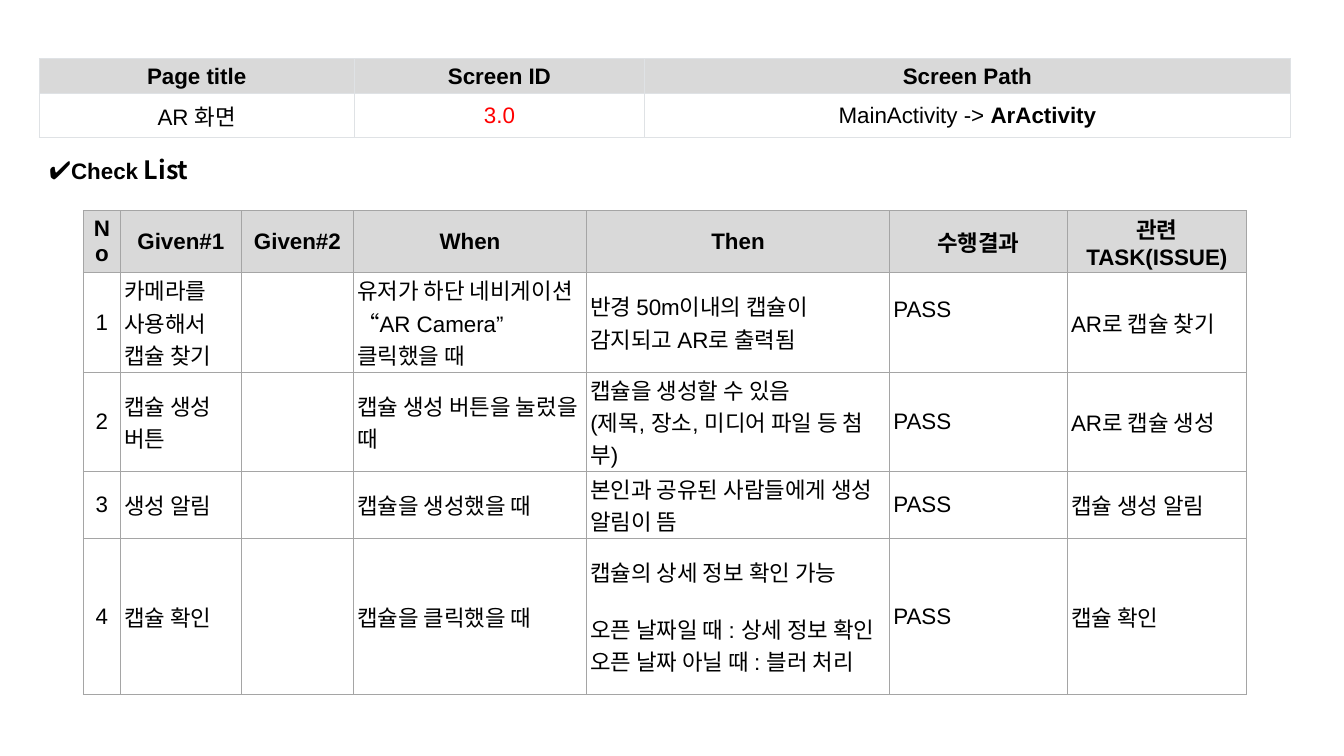
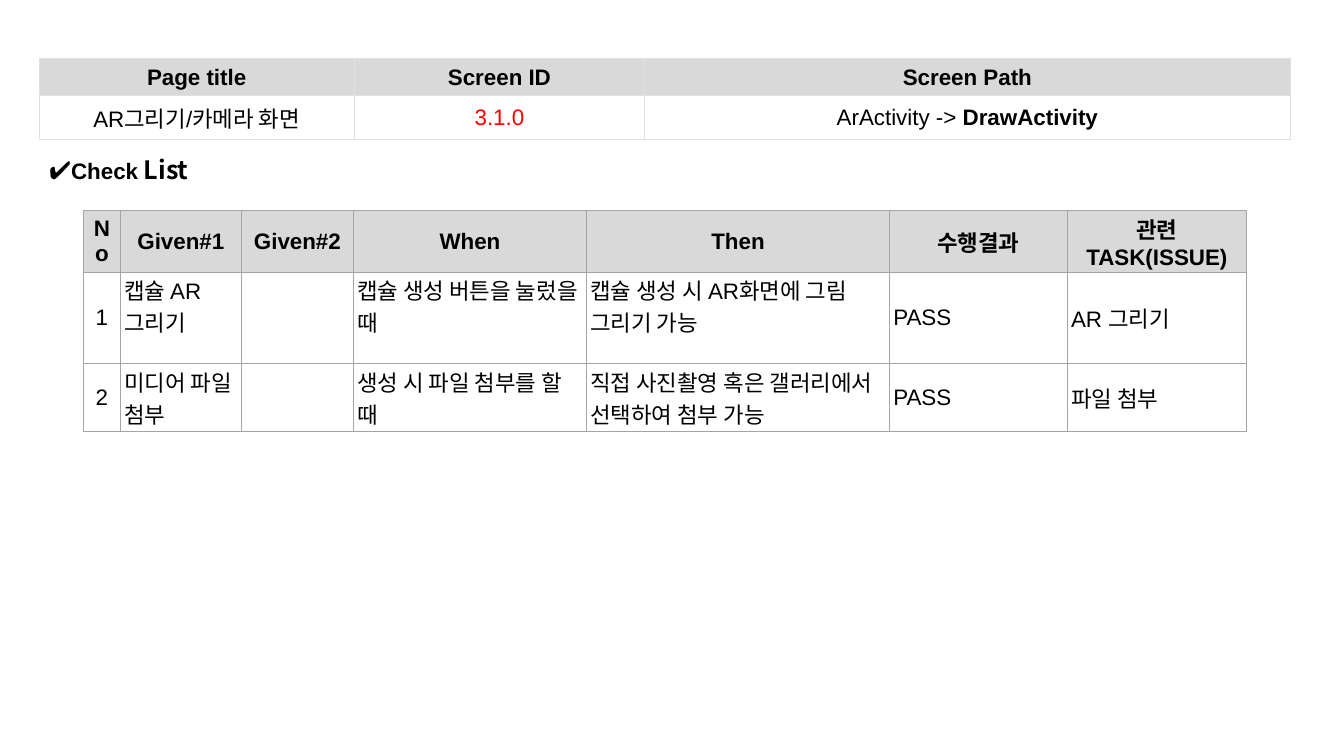
from pptx import Presentation
from pptx.dml.color import RGBColor
from pptx.enum.text import MSO_ANCHOR, PP_ALIGN
from pptx.oxml.ns import qn
from pptx.util import Pt
from lxml import etree

CENTER, LEFT = PP_ALIGN.CENTER, PP_ALIGN.LEFT
MIDDLE, TOP = MSO_ANCHOR.MIDDLE, MSO_ANCHOR.TOP

COLORS = {
    "text": "000000",
    "accent": "FF0000",
    "header": "D9D9D9",
    "body": "FFFFFF",
    "page_border": "DFE2E5",
    "check_border": "A5A5A5",
}
LATIN, HANGUL = "Arial", "Noto Sans CJK KR"
BASE = {"size": Pt(16), "name": LATIN, "bold": False}
HEADING = {"size": Pt(18), "name": HANGUL, "bold": True}

PAGE_HEADS = ["Page title", "Screen ID", "Screen Path"]
PAGE_WIDTHS = [225, 207.5, 461]
PAGE_HEIGHTS = [25, 31]
CHECK_HEADS = ["No", "Given#1", "Given#2", "When", "Then", "수행결과", "관련 TASK(ISSUE)"]
CHECK_WIDTHS = [26.5, 86.5, 80, 166.5, 216.5, 127, 128]
CHECK_HEAD_HEIGHT = 44


class Deck:
    """Shared style and the slide being filled."""

    def __init__(self):
        self.presentation = Presentation()
        self.presentation.slide_width = Pt(960)
        self.presentation.slide_height = Pt(540)
        self.slide = None

    def new_slide(self):
        layout = self.presentation.slide_layouts[6]
        self.slide = self.presentation.slides.add_slide(layout)

    def run(self, paragraph, text, color="text", **formats):
        run = paragraph.add_run()
        run.text = text
        for name, value in {**BASE, **formats}.items():
            setattr(run.font, name, value)
        run.font.color.rgb = RGBColor.from_string(COLORS[color])
        # East Asian typeface follows the latin one
        latin = run.font._element.find(qn("a:latin"))
        east_asian = etree.Element(qn("a:ea"), typeface=HANGUL)
        latin.addnext(east_asian)

    def cell(self, cell, content, border, margins, fill="body", align=LEFT,
             anchor=MIDDLE, bold=False):
        """Content is a text, one paragraph per line, or a list of (text, format) runs."""
        cell.vertical_anchor = anchor
        cell.margin_left = cell.margin_right = Pt(margins[0])
        cell.margin_top = cell.margin_bottom = Pt(margins[1])
        cell.fill.solid()
        cell.fill.fore_color.rgb = RGBColor.from_string(COLORS[fill])
        self.borders(cell, border)
        if isinstance(content, str):
            lines = [[(line, {})] for line in content.split("\n")] if content else []
        else:
            lines = [content]
        for index, runs in enumerate(lines):
            frame = cell.text_frame
            paragraph = frame.add_paragraph() if index else frame.paragraphs[0]
            paragraph.alignment = align
            for text, formats in runs:
                self.run(paragraph, text, **{"bold": bold, **formats})

    def borders(self, cell, color):
        properties = cell._tc.get_or_add_tcPr()
        for index, side in enumerate(("lnL", "lnR", "lnT", "lnB")):
            line = etree.Element(qn(f"a:{side}"), w=str(Pt(0.75)))
            solid = etree.SubElement(line, qn("a:solidFill"))
            etree.SubElement(solid, qn("a:srgbClr"), val=COLORS[color])
            properties.insert(index, line)

    def table(self, left, top, widths, heights):
        table = self.slide.shapes.add_table(
            len(heights), len(widths), Pt(left), Pt(top),
            Pt(sum(widths)), Pt(sum(heights))).table
        table.first_row = table.horz_banding = False
        for column, width in zip(table.columns, widths):
            column.width = Pt(width)
        for row, height in zip(table.rows, heights):
            row.height = Pt(height)
        return table

    def page_table(self, values):
        table = self.table(28, 42, PAGE_WIDTHS, PAGE_HEIGHTS)
        style = {"border": "page_border", "margins": (7.2, 3.6), "align": CENTER}
        for column, (head, value) in enumerate(zip(PAGE_HEADS, values)):
            self.cell(table.cell(0, column), head, fill="header", bold=True, **style)
            self.cell(table.cell(1, column), value, **style)

    def check_table(self, rows, heights, top_cells=()):
        table = self.table(59.5, 150.5, CHECK_WIDTHS, [CHECK_HEAD_HEIGHT, *heights])
        border = "check_border"
        for column, head in enumerate(CHECK_HEADS):
            self.cell(table.cell(0, column), head, border, (2.7, 1.5),
                      fill="header", align=CENTER, bold=True)
        for number, (given, when, then, task) in enumerate(rows, 1):
            values = [str(number), given, "", when, then, "PASS", task]
            for column, value in enumerate(values):
                self.cell(table.cell(number, column), value, border, (2.7, 0.7),
                          align=LEFT if column else CENTER,
                          anchor=TOP if (number, column) in top_cells else MIDDLE)
        return table

    def heading(self):
        box = self.slide.shapes.add_textbox(Pt(28), Pt(106.5), Pt(133), Pt(29))
        box.text_frame.word_wrap = True
        paragraph = box.text_frame.paragraphs[0]
        self.run(paragraph, "✔", **HEADING)
        self.run(paragraph, "Check", bold=True)
        self.run(paragraph, " List", **HEADING)


def screen_values(title, screen_id, parent, activity):
    return [title, [(screen_id, {"color": "accent"})],
            [(f"{parent} -> ", {}), (activity, {"bold": True})]]


def main():
    deck = Deck()

    # AR screen
    deck.new_slide()
    table = deck.check_table([
        ("카메라를 사용해서 캡슐 찾기", "유저가 하단 네비게이션 “AR Camera” 클릭했을 때",
         "반경 50m이내의 캡슐이 감지되고 AR로 출력됨", "AR로 캡슐 찾기"),
        ("캡슐 생성 버튼", "캡슐 생성 버튼을 눌렀을 때",
         "캡슐을 생성할 수 있음\n(제목, 장소, 미디어 파일 등 첨부)", "AR로 캡슐 생성"),
        ("생성 알림", "캡슐을 생성했을 때",
         "본인과 공유된 사람들에게 생성 알림이 뜸", "캡슐 생성 알림"),
        ("캡슐 확인", "캡슐을 클릭했을 때",
         "캡슐의 상세 정보 확인 가능\n오픈 날짜일 때 : 상세 정보 확인\n"
         "오픈 날짜 아닐 때 : 블러 처리", "캡슐 확인"),
    ], [71.5, 70.5, 48, 111.5])
    table.cell(1, 5).margin_bottom = Pt(19)
    table.cell(4, 4).text_frame.paragraphs[1].space_before = Pt(18)
    deck.page_table(screen_values("AR 화면", "3.0", "MainActivity", "ArActivity"))
    deck.heading()

    # Drawing and camera screen
    deck.new_slide()
    deck.check_table([
        ("캡슐 AR 그리기", "캡슐 생성 버튼을 눌렀을 때",
         "캡슐 생성 시 AR화면에 그림 그리기 가능", "AR 그리기"),
        ("미디어 파일 첨부", "생성 시 파일 첨부를 할 때",
         "직접 사진촬영 혹은 갤러리에서 선택하여 첨부 가능", "파일 첨부"),
    ], [65.5, 48], top_cells={(1, 1), (1, 3), (1, 4)})
    deck.page_table(screen_values("AR그리기/카메라 화면", "3.1.0", "ArActivity", "DrawActivity"))
    deck.heading()

    deck.presentation.save("out.pptx")


if __name__ == "__main__":
    main()
